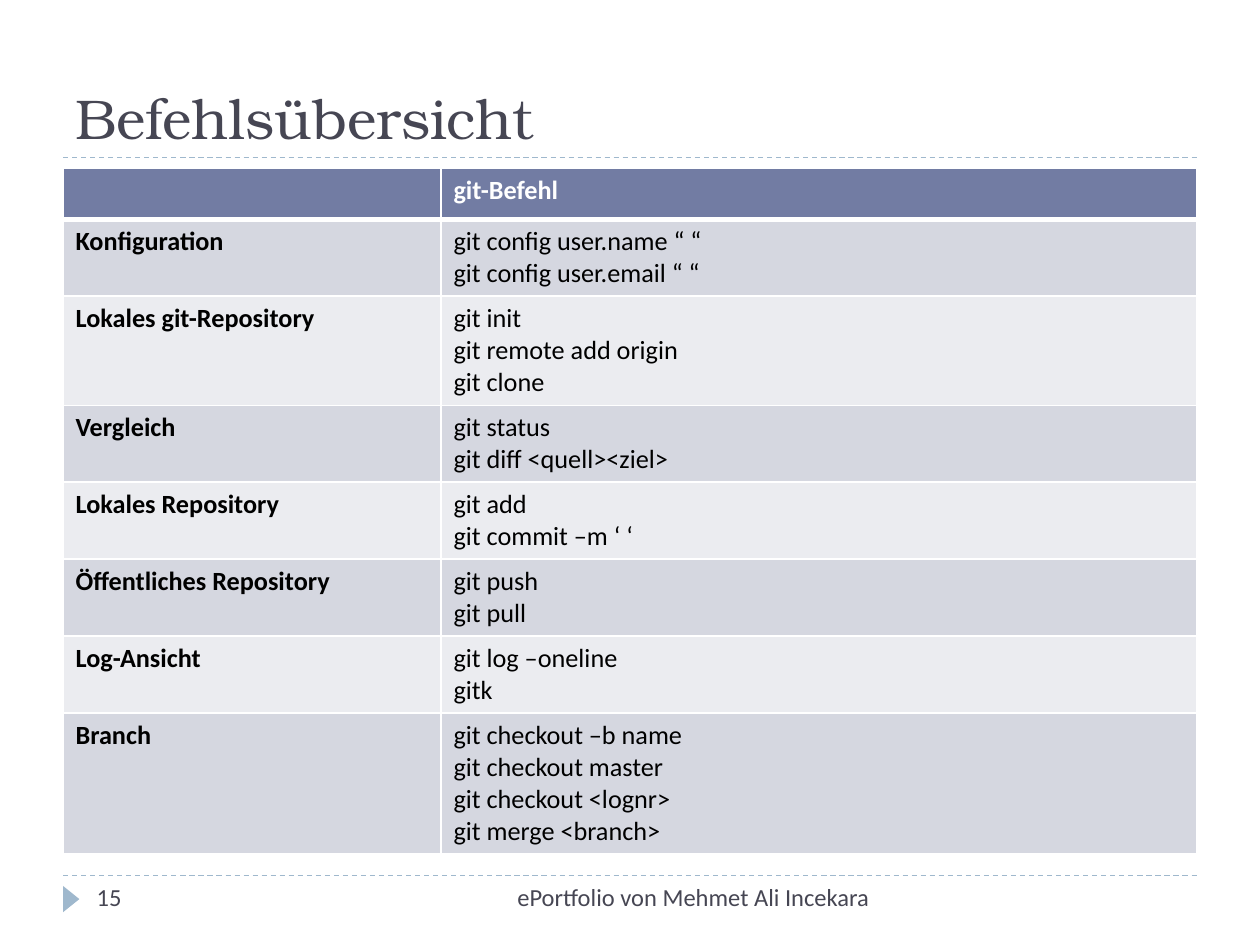
"""Build the slide with the overview of git commands."""
from lxml import etree
from pptx import Presentation, util as u
from pptx.dml.color import RGBColor
from pptx.enum import dml, shapes, text
from pptx.oxml.ns import qn

ACCENT, DARK, WHITE = "9FB8CD", "464653", "FFFFFF"
HEADER, BANDS = "727CA3", ("EBECF0", "D5D7E0")
ROWS = [
    ("", ["git-Befehl"]),
    ("Konfiguration", ["git config user.name “ “", "git config user.email “ “"]),
    ("Lokales git-Repository", ["git init", "git remote add origin ", "git clone"]),
    ("Vergleich", ["git status", "git diff <quell><ziel>"]),
    ("Lokales Repository", ["git add", "git commit –m ‘ ‘"]),
    ("Öffentliches Repository", ["git push", "git pull"]),
    ("Log-Ansicht", ["git log –oneline", "gitk"]),
    ("Branch", ["git checkout –b name", "git checkout master",
                "git checkout <lognr>", "git merge <branch>"]),
]


def rgb(value):
    return RGBColor.from_string(value)


def write(tf, lines, color, **fmt):
    for i, line in enumerate(lines):
        p = tf.paragraphs[0] if i == 0 else tf.add_paragraph()
        r = p.add_run()
        r.text = line
        r.font.color.rgb = rgb(color)
        for key, value in fmt.items():
            setattr(r.font, key, value)


prs = Presentation()
prs.slide_width, prs.slide_height = u.Cm(25.4), u.Cm(19.05)
s = prs.slides.add_slide(prs.slide_layouts[6])

for y in (17.65, 3.18):
    sp = s.shapes.add_connector(shapes.MSO_CONNECTOR.STRAIGHT,
                                u.Cm(1.27), u.Cm(y), u.Cm(24.13), u.Cm(y))
    sp.line.color.rgb = rgb(ACCENT)
    sp.line.width = u.Pt(0.75)
    sp.line.dash_style = dml.MSO_LINE.DASH
    etree.SubElement(sp._element.spPr, qn("a:effectLst"))

sp = s.shapes.add_shape(shapes.MSO_SHAPE.ISOSCELES_TRIANGLE,
                        u.Cm(1.17), u.Cm(17.96), u.Cm(0.53), u.Cm(0.33))
sp.rotation = 90
sp.shadow.inherit = False
sp.fill.solid()
sp.fill.fore_color.rgb = rgb(ACCENT)
sp.line.fill.background()

TOP, BOTTOM = text.MSO_ANCHOR.TOP, text.MSO_ANCHOR.BOTTOM
LEFT, RIGHT = text.PP_ALIGN.LEFT, text.PP_ALIGN.RIGHT
for box, label, size, font, anchor, align in [
    ((1.27, 0.43, 22.86, 2.74), "Befehlsübersicht", 32, "TeX Gyre Bonum", BOTTOM, LEFT),
    ((8.05, 17.65, 9.73, 1.02), "ePortfolio von Mehmet Ali Incekara", 14, "Calibri", TOP, RIGHT),
    ((1.7, 17.65, 5.51, 1.02), "15", 14, "Calibri", TOP, LEFT),
]:
    tf = s.shapes.add_textbox(*map(u.Cm, box)).text_frame
    tf.word_wrap = True
    tf.vertical_anchor = anchor
    write(tf, [label], DARK, size=u.Pt(size), name=font)
    tf.paragraphs[0].alignment = align

heights = [1.03] + [0.25 + 0.65 * len(commands) for _, commands in ROWS[1:]]
table = s.shapes.add_table(len(ROWS), 2, u.Cm(1.27), u.Cm(3.39),
                           u.Cm(22.86), u.Cm(sum(heights))).table
for column, width in zip(table.columns, (7.62, 15.24)):
    column.width = u.Cm(width)
for i, (topic, commands) in enumerate(ROWS):
    table.rows[i].height = u.Cm(heights[i])
    for j, lines in enumerate(([topic], commands)):
        cell = table.cell(i, j)
        if lines[0]:
            write(cell.text_frame, lines, "000000" if i else WHITE,
                  size=u.Pt(15), name="Calibri", bold=i == 0 or j == 0)
        tcPr = cell._tc.get_or_add_tcPr()
        for side in "LRTB":
            thick = (i == 0 and side == "B") or (i == 1 and side == "T")
            ln = etree.SubElement(tcPr, qn(f"a:ln{side}"), w=str(u.Pt(3 if thick else 1)))
            fill = etree.SubElement(ln, qn("a:solidFill"))
            etree.SubElement(fill, qn("a:srgbClr"), val=WHITE)
        cell.fill.solid()
        cell.fill.fore_color.rgb = rgb(BANDS[i % 2] if i else HEADER)

prs.save("out.pptx")
